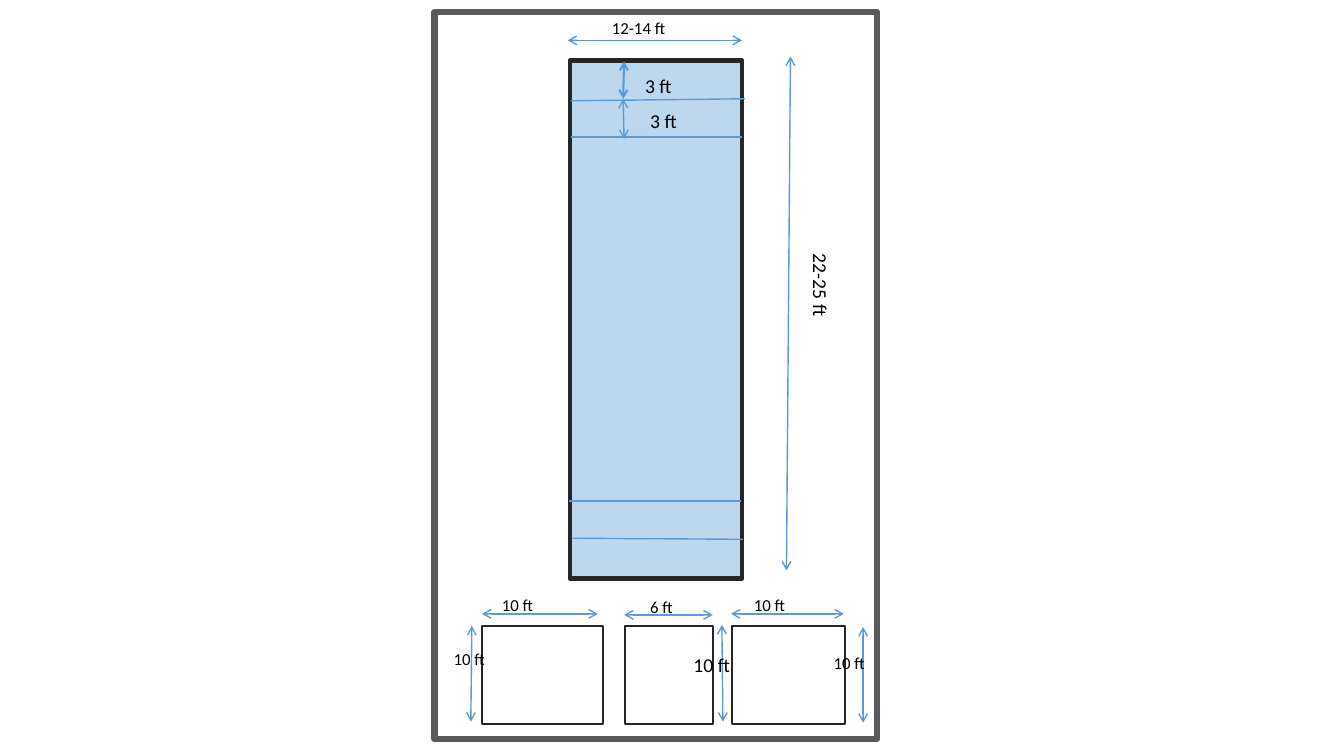
from dataclasses import dataclass

import pptx
import pptx.dml.color
import pptx.enum.shapes
import pptx.enum.text
import pptx.oxml
import pptx.oxml.ns
import pptx.util
from pptx.util import Inches

COLOURS = {
    "white": "FFFFFF",
    "frame": "595959",
    "edge": "262626",
    "pool": "BDD7EE",
    "measure": "5B9BD5",
    "text": "000000",
}


@dataclass
class Area:
    left: float
    top: float
    width: float
    height: float
    fill: str
    edge: str
    weight: float


@dataclass
class Rule:
    x1: float
    y1: float
    x2: float
    y2: float
    weight: float = 1
    arrows: bool = True


@dataclass
class Label:
    text: str
    left: float
    top: float
    width: float
    height: float
    size: int = 12
    vertical: bool = False


ROOM_TOP, ROOM_HEIGHT = 6.21, 0.97
ROOMS = [(4.78, 1.2), (7.26, 1.12), (6.2, 0.87)]

AREAS = [
    Area(4.31, 0.12, 4.39, 7.21, "white", "frame", 4.5),
    Area(5.65, 0.6, 1.71, 5.14, "pool", "edge", 3),
] + [Area(left, ROOM_TOP, width, ROOM_HEIGHT, "white", "edge", 1.5) for left, width in ROOMS]

POOL_LINES = [
    Rule(5.66, 1, 7.39, 0.98, arrows=False),
    Rule(5.66, 1.36, 7.36, 1.36, arrows=False),
    Rule(5.68, 5.34, 7.37, 5.35, arrows=False),
    Rule(5.64, 4.97, 7.35, 4.97, 1.5, arrows=False),
]

DIMENSIONS = [
    Rule(6.19, 0.61, 6.18, 0.98, 1.5),
    Rule(6.18, 0.98, 6.19, 1.38),
    Rule(7.84, 0.56, 7.8, 5.66),
    Rule(5.63, 0.4, 7.36, 0.4),
    Rule(7.16, 6.2, 7.17, 7.16),
    Rule(6.19, 6.1, 7.07, 6.1),
    Rule(4.78, 6.09, 5.93, 6.09),
    Rule(8.56, 6.22, 8.56, 7.17),
    Rule(4.68, 6.21, 4.67, 7.16),
    Rule(7.25, 6.09, 8.37, 6.09),
]

LABELS = [
    Label("3 ft", 6.3, 0.68, 0.7, 0.34, 14),
    Label("3 ft", 6.35, 1.03, 0.65, 0.3, 14),
    Label("6 ft", 6.35, 5.87, 0.65, 0.22),
    Label("10 ft", 6.78, 6.43, 0.84, 0.34, 14),
    Label("10 ft", 4.88, 5.85, 0.75, 0.52),
    Label("10 ft", 8.17, 6.43, 0.62, 0.3),
    Label("10 ft", 4.4, 6.39, 0.58, 0.3),
    Label("12-14 ft", 5.97, 0.13, 1.11, 0.39),
    Label("22-25 ft", 7.81, 2.42, 0.5, 1.1, 14, vertical=True),
    Label("10 ft", 7.38, 5.85, 0.86, 0.3),
]


def colour(name: str) -> pptx.dml.color.RGBColor:
    return pptx.dml.color.RGBColor.from_string(COLOURS[name])


def draw_area(page: pptx.slide.Slide, area: Area) -> None:
    shape = page.shapes.add_shape(
        pptx.enum.shapes.MSO_SHAPE.RECTANGLE,
        Inches(area.left), Inches(area.top), Inches(area.width), Inches(area.height),
    )
    shape.shadow.inherit = False
    shape.fill.solid()
    shape.fill.fore_color.rgb = colour(area.fill)
    shape.line.color.rgb = colour(area.edge)
    shape.line.width = pptx.util.Pt(area.weight)


def draw_rule(page: pptx.slide.Slide, rule: Rule) -> None:
    """Draw a straight line, with an open arrowhead at both ends if asked."""
    connector = page.shapes.add_connector(
        pptx.enum.shapes.MSO_CONNECTOR.STRAIGHT,
        Inches(rule.x1), Inches(rule.y1), Inches(rule.x2), Inches(rule.y2),
    )
    connector.line.color.rgb = colour("measure")
    connector.line.width = pptx.util.Pt(rule.weight)
    if rule.arrows:
        outline = connector.line._get_or_add_ln()
        for end in ("a:headEnd", "a:tailEnd"):
            head = pptx.oxml.xmlchemy.OxmlElement(end)
            head.set("type", "arrow")
            outline.append(head)
    connector._element.spPr.append(pptx.oxml.xmlchemy.OxmlElement("a:effectLst"))


def draw_label(page: pptx.slide.Slide, label: Label) -> None:
    box = page.shapes.add_textbox(
        Inches(label.left), Inches(label.top), Inches(label.width), Inches(label.height)
    )
    frame = box.text_frame
    frame.word_wrap = True
    if label.vertical:
        frame._txBody.bodyPr.set("vert", "eaVert")
    span = frame.paragraphs[0].add_run()
    span.text = label.text
    formats = {"name": "Calibri", "size": pptx.util.Pt(label.size)}
    for attribute, value in formats.items():
        setattr(span.font, attribute, value)
    span.font.color.rgb = colour("text")


def main() -> None:
    deck = pptx.Presentation()
    deck.slide_width, deck.slide_height = Inches(13.33), Inches(7.5)
    page = deck.slides.add_slide(deck.slide_layouts[6])
    for area in AREAS:
        draw_area(page, area)
    for rule in POOL_LINES + DIMENSIONS:
        draw_rule(page, rule)
    for label in LABELS:
        draw_label(page, label)
    deck.save("out.pptx")


if __name__ == "__main__":
    main()
